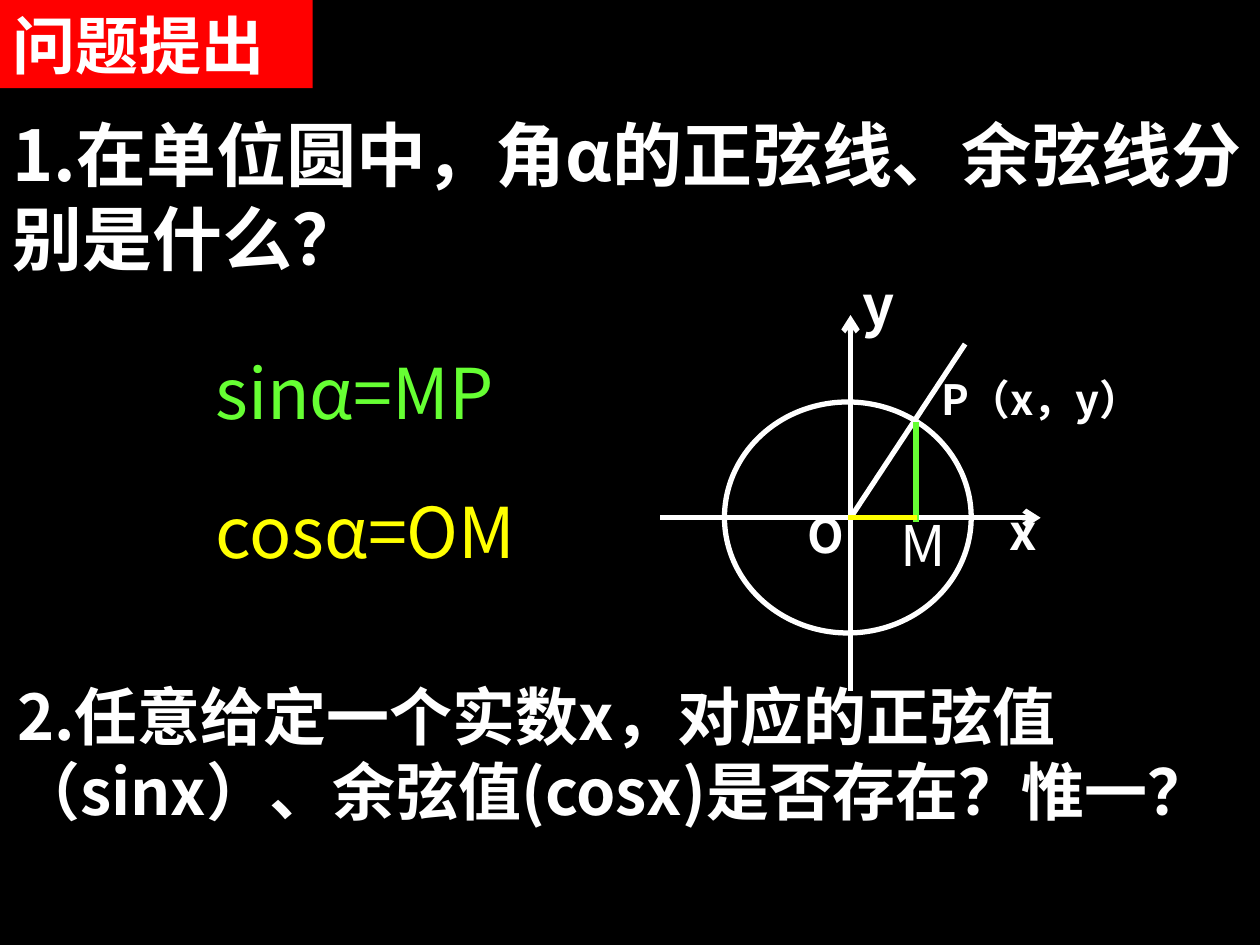
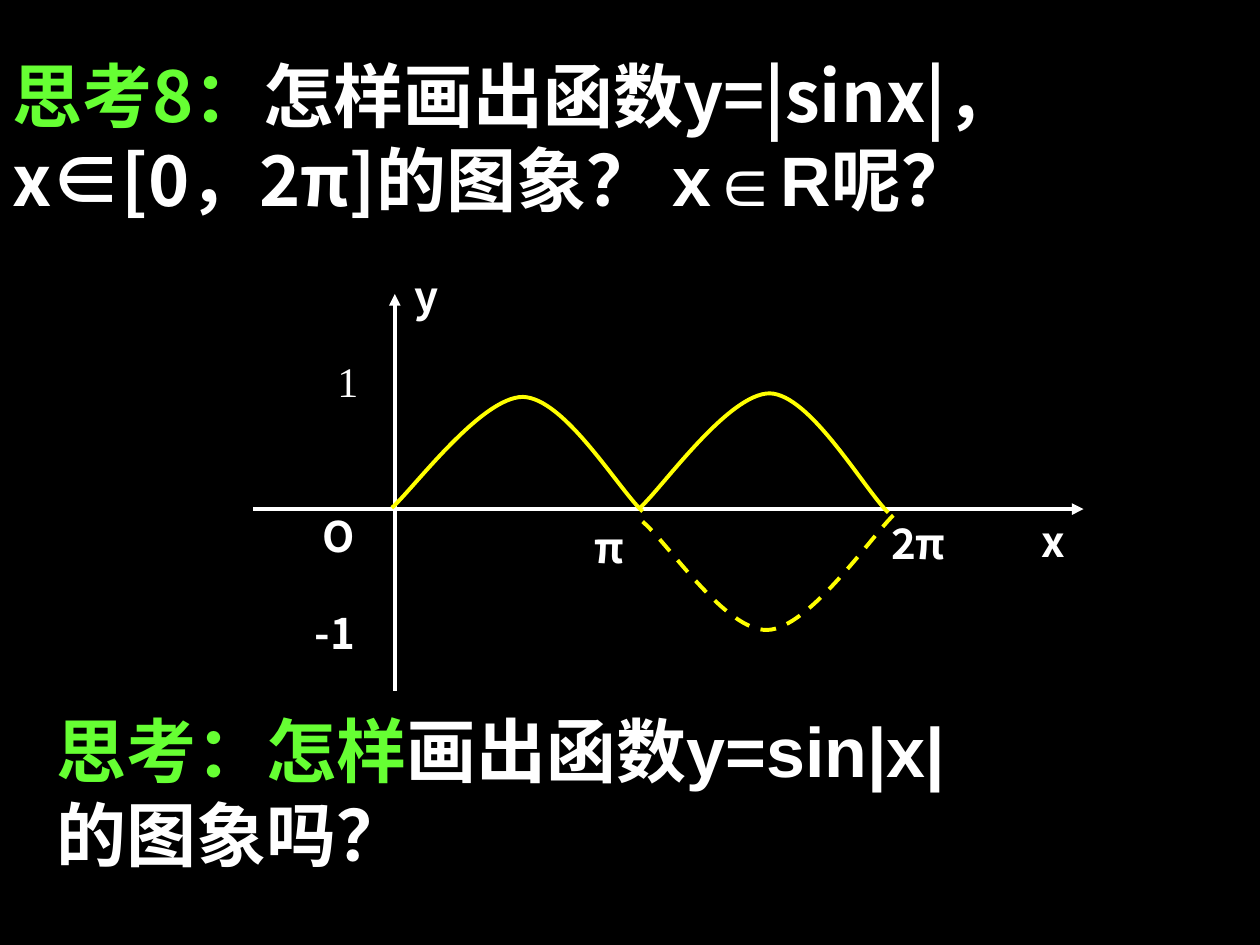
from lxml import etree
from pptx import Presentation
from pptx.dml.color import RGBColor
from pptx.enum.dml import MSO_LINE_DASH_STYLE as DASH
from pptx.enum.shapes import MSO_CONNECTOR, MSO_SHAPE
from pptx.enum.text import MSO_ANCHOR, MSO_AUTO_SIZE, PP_ALIGN
from pptx.oxml.ns import qn
from pptx.util import Pt

COLORS = {"black": "000000", "white": "FFFFFF", "red": "FF0000",
          "green": "66FF33", "yellow": "FFFF00"}
CJK, ARIAL, TIMES = "Noto Sans CJK SC", "Arial", "Times New Roman"
TITLE_ONLY = 5


def rgb(name):
    return RGBColor.from_string(COLORS[name])


def add_run(p, text, size, color="white", font=CJK, bold=True):
    r = p.add_run()
    r.text = text
    r.font.size, r.font.bold, r.font.name = Pt(size), bold, font
    r.font.color.rgb = rgb(color)
    r.font._element.find(qn("a:latin")).addnext(
        etree.Element(qn("a:ea"), typeface=CJK))


def fill_text(sp, paragraphs, size, spacing=None):
    """Write paragraphs, each a list of (text, run options), into a shape."""
    tf = sp.text_frame
    tf.word_wrap = True
    tf.auto_size = MSO_AUTO_SIZE.NONE
    tf.vertical_anchor = MSO_ANCHOR.TOP
    for i, runs in enumerate(paragraphs):
        p = tf.add_paragraph() if i else tf.paragraphs[0]
        p.alignment = PP_ALIGN.LEFT
        if spacing:
            p.line_spacing = spacing
        for text, options in runs:
            add_run(p, text, size, **options)


def add_text(slide, box, paragraphs, size, spacing=None):
    sp = slide.shapes.add_textbox(*map(Pt, box))
    fill_text(sp, paragraphs, size, spacing)


def set_title(slide, box, paragraphs, size):
    title = slide.shapes.title
    title.left, title.top, title.width, title.height = map(Pt, box)
    fill_text(title, paragraphs, size)
    return title


def style_line(line, color, width, dash=None):
    line.color.rgb = rgb(color)
    line.width = Pt(width)
    if dash:
        line.dash_style = dash


def add_line(slide, start, end, width, color="white", arrow=None):
    cx = slide.shapes.add_connector(
        MSO_CONNECTOR.STRAIGHT, *map(Pt, (*start, *end)))
    style_line(cx.line, color, width)
    if arrow:
        etree.SubElement(cx.line._get_or_add_ln(), qn("a:tailEnd"), type=arrow)
    etree.SubElement(cx._element.spPr, qn("a:effectLst"))


def add_wave(slide, left, top, knots, dash=None):
    """Draw two joined cubic curves through seven knots."""
    points = [(Pt(left + x), Pt(top + y)) for x, y in knots]
    builder = slide.shapes.build_freeform(*points[0])
    builder.add_line_segments(points[1:], close=False)
    sp = builder.convert_to_shape()
    segments = list(sp._element.iter(qn("a:lnTo")))
    outline = segments[0].getparent()
    for i in range(0, len(segments), 3):
        curve = etree.SubElement(outline, qn("a:cubicBezTo"))
        for segment in segments[i:i + 3]:
            curve.append(segment[0])
            outline.remove(segment)
    sp.shadow.inherit = False
    sp.fill.background()
    style_line(sp.line, "yellow", 2.25, dash)


def unit_circle(slide, left, top):
    def at(x, y):
        return left + x, top + y

    origin, width = at(108.7, 144.7), 3
    circle = slide.shapes.add_shape(
        MSO_SHAPE.OVAL, *map(Pt, (*at(36.7, 78.5), 141, 132)))
    circle.shadow.inherit = False
    circle.fill.background()
    style_line(circle.line, "white", width)
    add_line(slide, origin, at(174.2, 45.4), width)
    add_line(slide, at(0, 144.7), at(217.4, 144.7), width, arrow="arrow")
    add_line(slide, at(108.7, 243.4), at(108.7, 28.8), width, arrow="arrow")
    add_line(slide, at(146.2, 90), at(146.2, 147), width, "green")
    add_line(slide, at(107.3, 144.7), at(146.9, 144.7), width, "yellow")
    for text, x, y, w, h, size, spacing, bold in (
            ("P（x，y）", 153.4, 61.9, 163, 50, 23.8, 0.9, True),
            ("O", 77, 138.2, 42, 42, 27.2, 0.9, True),
            ("x", 192.2, 138.2, 37, 42, 27.9, 0.8, True),
            ("y", 108.7, 0, 54, 66, 32, None, True),
            ("M", 130.3, 136.8, 48, 50, 32, None, False)):
        add_text(slide, (*at(x, y), w, h), [[(text, {"bold": bold})]],
                 size, spacing)


def sine_graph(slide, left, top):
    def at(x, y):
        return left + x, top + y

    width = 2.25
    add_line(slide, at(0, 139.7), at(474.5, 139.7), width, arrow="triangle")
    add_line(slide, at(80.9, 243.4), at(80.9, 16.8), width, arrow="triangle")
    add_wave(slide, left, top, [
        (79.2, 139), (91.4, 128.2), (130.3, 75.6), (154.1, 75.6),
        (177.8, 76.3), (208.1, 127.4), (222.5, 141.1)])
    add_wave(slide, left, top, [
        (221, 139), (233.3, 128.2), (271.4, 73.6), (295.2, 73.6),
        (318.2, 74.2), (348.5, 127.4), (362.9, 141.8)])
    add_wave(slide, left, top, [
        (365.8, 143.3), (354.2, 154.1), (317.5, 208.1), (293.8, 208.8),
        (270, 209.5), (237.6, 159.8), (222.5, 146.9)], DASH.DASH)
    for text, x, y, w, h in (
            ("y", 85, 0, 82, 50), ("x", 443.5, 139.7, 81, 51),
            ("O", 32.6, 136.8, 84, 50), ("π", 187.9, 143, 76, 48),
            ("2π", 357.4, 141.1, 91, 44), ("-1", 28.1, 192.2, 73, 36)):
        add_text(slide, (*at(x, y), w, h), [[(text, {})]], 24)
    add_text(slide, (*at(41, 48.2), 55, 48),
             [[("1", {"font": TIMES, "bold": False})]], 24)


def question_slide(prs):
    slide = prs.slides.add_slide(prs.slide_layouts[TITLE_ONLY])
    title = set_title(slide, (0, 0, 178.6, 50.4),
                      [[("问题提出", {"font": ARIAL})]], 36)
    title.fill.solid()
    title.fill.fore_color.rgb = rgb("red")
    add_text(slide, (0, 60.1, 720, 104),
             [[("1.在单位圆中，角α的正弦线、余弦线分别是什么？", {})]], 40)
    unit_circle(slide, 377.3, 151.2)
    for text, color, top, width in (("sinα=MP", "green", 196.2, 193),
                                    ("cosα=OM", "yellow", 275.8, 215)):
        add_text(slide, (116, top, width, 55.4),
                 [[(text, {"color": color, "bold": False})]], 40)
    add_text(slide, (2.8, 383.4, 714, 94), [[(
        "2.任意给定一个实数x，对应的正弦值（sinx）、余弦值(cosx)是否存在？惟一？",
        {})]], 36)


def graph_slide(prs):
    slide = prs.slides.add_slide(prs.slide_layouts[TITLE_ONLY])
    set_title(slide, (0, 26.3, 720, 104), [
        [("思考8：", {"color": "green"}), ("怎样画出函数y=|sinx|，", {})],
        [("x∈[0，2π]的图象？ ", {}), ("x∈R呢？", {"font": ARIAL})]], 40)
    sine_graph(slide, 144.7, 151.2)
    add_text(slide, (25.5, 400.7, 618, 104), [
        [("思考：怎样", {"color": "green", "font": ARIAL}),
         ("画出函数y=sin|x|", {"font": ARIAL})],
        [("的图象吗？", {"font": ARIAL})]], 40)


def main():
    prs = Presentation()
    prs.slide_width, prs.slide_height = Pt(720), Pt(540)
    background = prs.slide_master.background.fill
    background.solid()
    background.fore_color.rgb = rgb("black")
    question_slide(prs)
    graph_slide(prs)
    prs.save("out.pptx")


if __name__ == "__main__":
    main()
